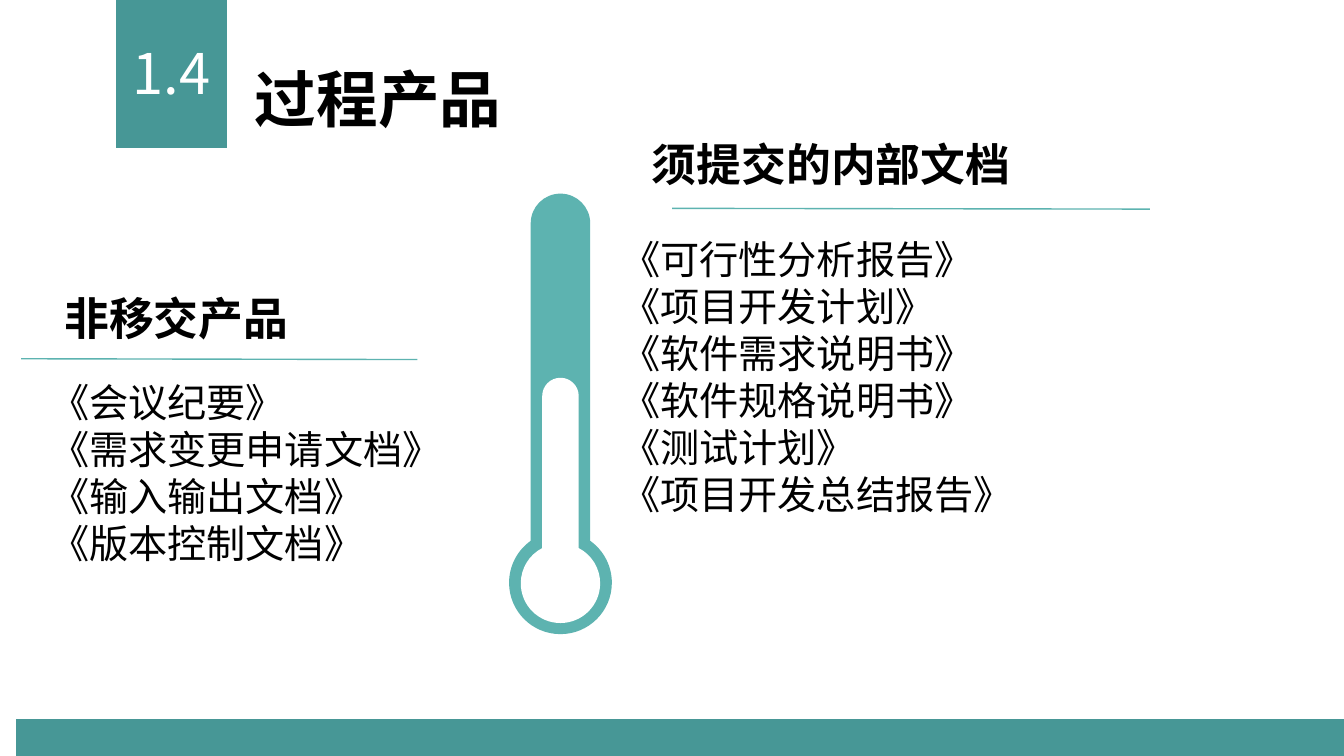
import math

from lxml import etree
from pptx import Presentation
from pptx import util as u
from pptx.dml.color import RGBColor
from pptx.enum import shapes, text
from pptx.oxml import ns

DARK_TEAL, TEAL, WHITE, BLACK = "479796", "5DB3B0", "FFFFFF", "000000"
CJK_FONT = "Noto Sans CJK SC"
SLIDE_WIDTH, SLIDE_HEIGHT = 33.87, 19.05


def color(value):
    return RGBColor.from_string(value)


def place(shape, box):
    shape.left, shape.top, shape.width, shape.height = map(u.Cm, box)


def paint(shape, fill):
    shape.shadow.inherit = False
    shape.fill.solid()
    shape.fill.fore_color.rgb = color(fill)
    shape.line.fill.background()


def write(shape, content, size, font, fill=BLACK, bold=False,
          align=text.PP_ALIGN.LEFT, anchor=text.MSO_ANCHOR.MIDDLE, wrap=True):
    """Fill a shape with text, one paragraph per line, in one style."""
    frame = shape.text_frame
    frame.text = content
    frame.word_wrap = wrap
    frame.auto_size = text.MSO_AUTO_SIZE.NONE
    frame.vertical_anchor = anchor
    for paragraph in frame.paragraphs:
        paragraph.alignment = align
        for run in paragraph.runs:
            run.font.size = u.Pt(size)
            run.font.bold = bold
            run.font.color.rgb = color(fill)
            run.font.name = font
            east_asian = etree.SubElement(run._r.get_or_add_rPr(), ns.qn("a:ea"))
            east_asian.set("typeface", font)


def add_bar(slide, box):
    bar = slide.shapes.add_shape(shapes.MSO_SHAPE.RECTANGLE, *map(u.Cm, box))
    paint(bar, DARK_TEAL)


def add_header(slide, box, number, title):
    left, top, width, height = box
    badge_width = 2.79
    add_bar(slide, (left, top, badge_width, height))
    label = slide.shapes.add_textbox(
        *map(u.Cm, (left, top + 0.84, badge_width, 1.96)))
    write(label, number, 40, "Noto Sans CJK KR", WHITE,
          align=text.PP_ALIGN.CENTER)
    title_left = left + badge_width + 0.45
    place(slide.shapes.title,
          (title_left, top + 1.4, left + width - title_left, 2.13))
    write(slide.shapes.title, title, 44, CJK_FONT, bold=True)


def arc(center_x, center_y, radius, start, end):
    """Return the two control points and the end point of a circular arc."""
    reach = 4 / 3 * math.tan((end - start) / 4)

    def point(angle, along):
        return (center_x + radius * (math.cos(angle) - along * math.sin(angle)),
                center_y + radius * (math.sin(angle) + along * math.cos(angle)))

    return [point(start, reach), point(end, -reach), point(end, 0)]


def add_outline(slide, start, segments, fill):
    """Draw a closed outline; a segment has one point (line) or three (curve)."""
    def to_emu(point):
        return u.Cm(point[0]), u.Cm(point[1])

    builder = slide.shapes.build_freeform(*to_emu(start))
    builder.add_line_segments([to_emu(segment[-1]) for segment in segments])
    outline = builder.convert_to_shape()
    paint(outline, fill)
    lines = list(outline._element.iter(ns.qn("a:lnTo")))
    for line, segment in zip(lines, segments):
        if len(segment) == 3:
            line.tag = ns.qn("a:cubicBezTo")
            for index, control in enumerate(segment[:2]):
                x, y = to_emu(control)
                point = etree.Element(ns.qn("a:pt"), x=str(x - outline.left),
                                      y=str(y - outline.top))
                line.insert(index, point)


def add_tube(slide, center, top, bottom, stem, bulb, fill):
    """Draw a round-capped stem of radius stem joined to a round bulb."""
    cap_y, bulb_y = top + stem, bottom - bulb
    joint_y = bulb_y - math.sqrt(bulb ** 2 - stem ** 2)
    joint = math.asin(stem / bulb)
    quarter = math.pi / 2
    bulb_angles = [joint - quarter, 0, quarter, 2 * quarter, 3 * quarter - joint]
    segments = [arc(center, cap_y, stem, 2 * quarter, 3 * quarter),
                arc(center, cap_y, stem, 3 * quarter, 4 * quarter),
                [(center + stem, joint_y)]]
    segments += [arc(center, bulb_y, bulb, start, end)
                 for start, end in zip(bulb_angles, bulb_angles[1:])]
    add_outline(slide, (center - stem, cap_y), segments, fill)


def add_thermometer(slide, box):
    left, top, width, height = box
    center, bottom = left + width / 2, top + height
    add_tube(slide, center, top, bottom, 0.75, width / 2, TEAL)
    add_tube(slide, center, top + 4.64, bottom - 0.28, 0.46, 1, WHITE)


def add_rule(slide, left, top, width):
    rule = slide.shapes.add_connector(
        shapes.MSO_CONNECTOR.STRAIGHT,
        *map(u.Cm, (left, top, left + width, top + 0.02)))
    rule.line.color.rgb = color(TEAL)
    rule.line.width = u.Pt(1)
    etree.SubElement(rule._element.spPr, ns.qn("a:effectLst"))


def add_documents(slide, body, box, heading, rule, offset, documents):
    """Place a heading, its rule (x, y, width) and the list, relative to box."""
    left, top, width, height = box
    heading_height = 1.63
    label = slide.shapes.add_textbox(
        *map(u.Cm, (left, top, width, heading_height)))
    write(label, heading, 32, CJK_FONT, bold=True, wrap=False)
    add_rule(slide, left + rule[0], top + rule[1], rule[2])

    shift, drop = offset
    place(body, (left + shift, top + drop, width - shift, height - drop))
    write(body, "\n".join(documents), 28, "Arial", anchor=text.MSO_ANCHOR.TOP)
    for paragraph in body.text_frame.paragraphs:
        paragraph.line_spacing = u.Pt(33.6)
        paragraph.space_before = paragraph.space_after = u.Pt(0)
        properties = paragraph._p.get_or_add_pPr()
        properties.set("marL", "0")
        properties.set("indent", "0")
        etree.SubElement(properties, ns.qn("a:buNone"))


def main():
    presentation = Presentation()
    presentation.slide_width = u.Cm(SLIDE_WIDTH)
    presentation.slide_height = u.Cm(SLIDE_HEIGHT)
    slide = presentation.slides.add_slide(presentation.slide_layouts[3])
    left_body, right_body = slide.placeholders[1], slide.placeholders[2]

    add_header(slide, (2.93, 0, 20.85, 3.73), "1.4", "过程产品")
    add_bar(slide, (0.41, 18.12, SLIDE_WIDTH - 0.41, SLIDE_HEIGHT - 18.12))
    add_thermometer(slide, (12.83, 4.88, 2.59, 11.1))
    add_documents(
        slide, left_body, (1.37, 7.19, 10.16, 8.46), "非移交产品",
        rule=(-0.84, 1.85, 9.99), offset=(-0.36, 2.21),
        documents=["《会议纪要》", "《需求变更申请文档》", "《输入输出文档》",
                   "《版本控制文档》"])
    add_documents(
        slide, right_body, (16.18, 3.3, 17.69, 9.96), "须提交的内部文档",
        rule=(0.76, 1.95, 12.04), offset=(-0.78, 2.5),
        documents=["《可行性分析报告》", "《项目开发计划》", "《软件需求说明书》",
                   "《软件规格说明书》", "《测试计划》", "《项目开发总结报告》"])
    presentation.save("out.pptx")


if __name__ == "__main__":
    main()
